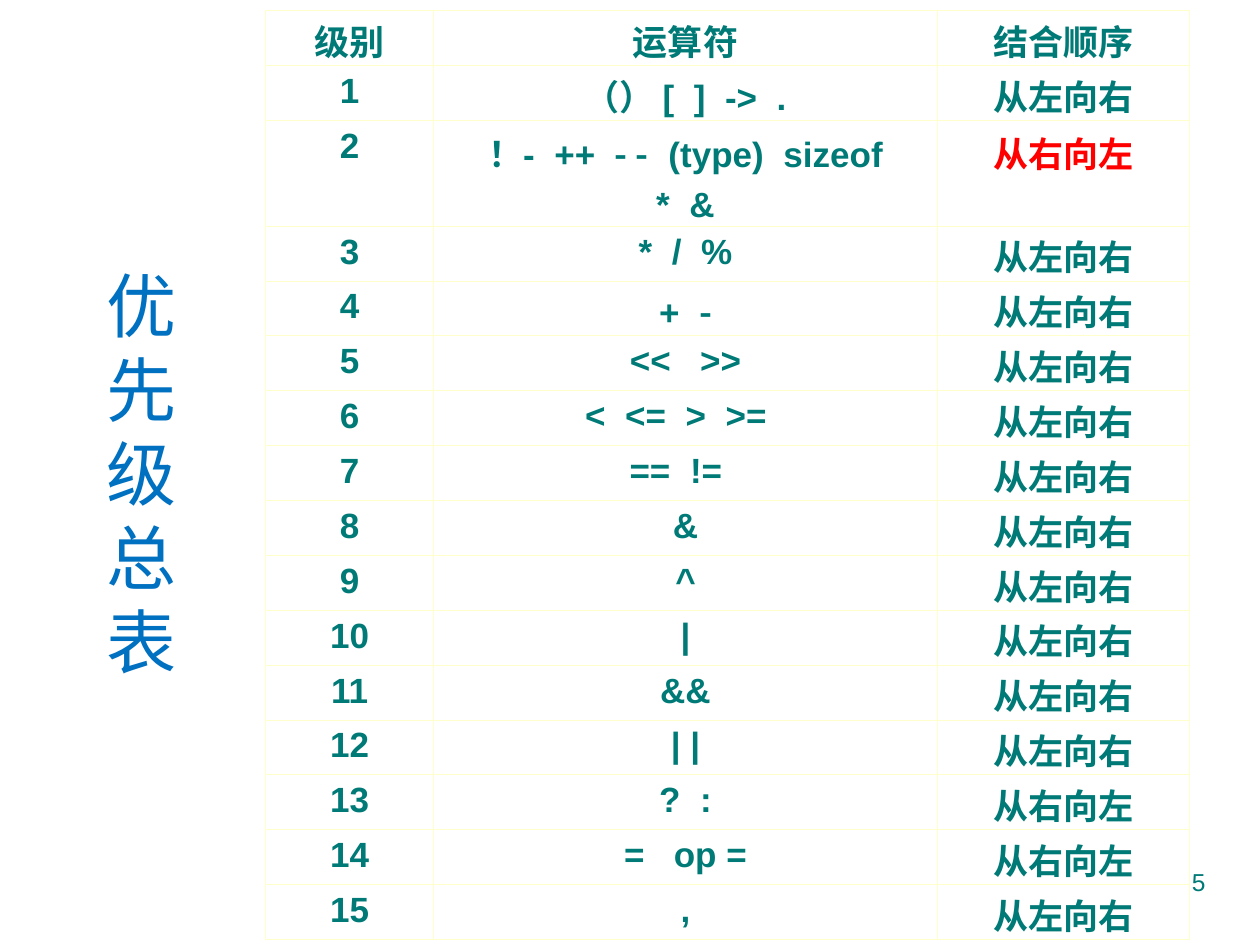
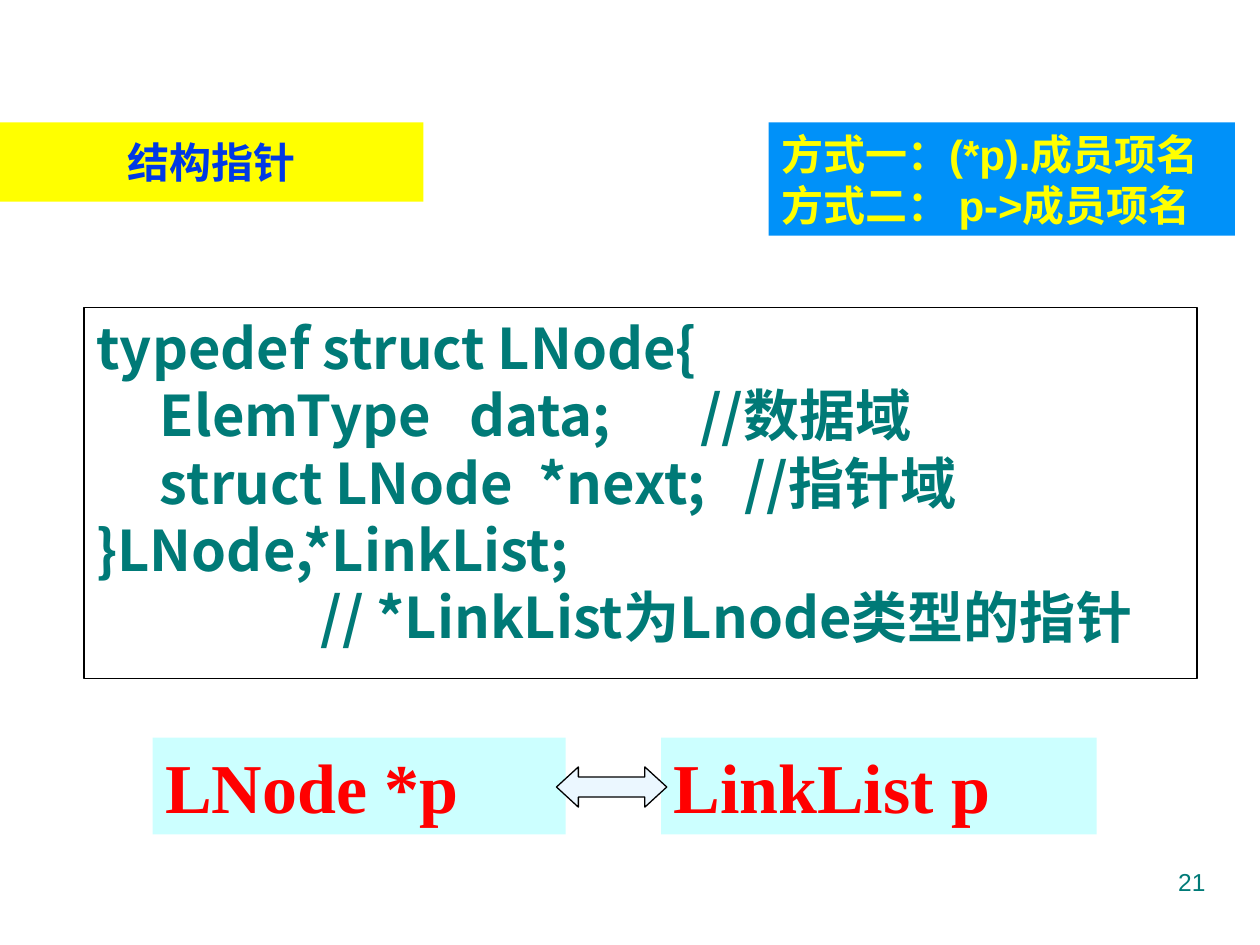
from lxml import etree
from pptx import Presentation
from pptx.dml.color import RGBColor
from pptx.enum import shapes, text
from pptx.oxml import ns
from pptx.util import Pt

TEAL = RGBColor(0x00, 0x7A, 0x77)
TITLE_BLUE = RGBColor(0x00, 0x70, 0xC0)
BAND_BLUE = RGBColor(0x00, 0x91, 0xF9)
HEADING_BLUE = RGBColor(0x00, 0x39, 0xE5)
YELLOW = RGBColor(0xFF, 0xFF, 0x00)
PALE_CYAN = RGBColor(0xCC, 0xFF, 0xFF)
PALE_BLUE = RGBColor(0xEB, 0xF7, 0xFF)
RED = RGBColor(0xFF, 0x00, 0x00)
BLACK = RGBColor(0x00, 0x00, 0x00)
BORDER = "FFFFCC"

SANS, CJK, SERIF = "Arial", "Noto Sans CJK SC", "Times New Roman"
LEFT, CENTER, RIGHT, JUSTIFY = (
    text.PP_ALIGN.LEFT, text.PP_ALIGN.CENTER, text.PP_ALIGN.RIGHT, text.PP_ALIGN.JUSTIFY)
TOP, MIDDLE = text.MSO_ANCHOR.TOP, text.MSO_ANCHOR.MIDDLE


def style(paragraph, size, color, font=SANS, bold=True, align=LEFT):
    paragraph.alignment = align
    paragraph.font.size = Pt(size)
    paragraph.font.name = font
    paragraph.font.bold = bold
    paragraph.font.color.rgb = color


def add_box(slide, place, lines, size, color, font=SANS, bold=True, align=LEFT,
            anchor=TOP, fill=None, line=None, kind=shapes.MSO_SHAPE.RECTANGLE):
    """Add a shape at (left, top, width, height) with one paragraph per line."""
    box = slide.shapes.add_shape(kind, *map(Pt, place))
    box.shadow.inherit = False
    if fill is None:
        box.fill.background()
    else:
        box.fill.solid()
        box.fill.fore_color.rgb = fill
    if line is None:
        box.line.fill.background()
    else:
        box.line.color.rgb = line
        box.line.width = Pt(0.75)
    frame = box.text_frame
    frame.word_wrap = True
    frame.vertical_anchor = anchor
    frame.text = "\n".join(lines)
    for paragraph in frame.paragraphs:
        style(paragraph, size, color, font, bold, align)
    return box


prs = Presentation()
prs.slide_width, prs.slide_height = Pt(720), Pt(540)
blank = prs.slide_layouts[6]
precedence, pointers = (prs.slides.add_slide(blank) for _ in range(2))

for slide, number in ((precedence, "5"), (pointers, "21")):
    add_box(slide, (516, 492, 180, 37.5), [number], 14, TEAL, bold=False, align=RIGHT)

# Slide 1: operator precedence
add_box(precedence, (54, 48, 36, 444), ["优先级总表"], 40, TITLE_BLUE,
        bold=False, align=CENTER, anchor=MIDDLE)

# One entry per level; each holds lines of operators set apart by wide gaps
operators = [
    [["（） [", "]", "->", "."]],
    [["！-", "++", "- -", "(type)", "sizeof"], ["*", "&"]],
    [["*", "/", "%"]],
    [["+", "-"]],
    [["<<", ">>"]],
    [["<", "<=", ">", ">="]],
    [["==", "!="]],
    [["&"]],
    [["^"]],
    [["|"]],
    [["&&"]],
    [["| |"]],
    [["?", ":"]],
    [["=", "op ="]],
    [[","]],
]
right_to_left = {2, 13, 14}
extra_wide = {5, 14}
shifted_left = {6, 7}
rows = [([["级别"]], [["运算符"]], [["结合顺序"]])]
for level, lines in enumerate(operators, 1):
    order = "从右向左" if level in right_to_left else "从左向右"
    rows.append(([[str(level)]], lines, [[order]]))

table = precedence.shapes.add_table(
    len(rows), 3, Pt(151.75), Pt(6), Pt(528), Pt(531)).table
table.first_row = table.horz_banding = False
for column, width in zip(table.columns, (96, 288, 144)):
    column.width = Pt(width)
for r, row in enumerate(rows):
    table.rows[r].height = Pt(60.5 if len(row[1]) > 1 else 31.37)
    for c, lines in enumerate(row):
        cell = table.cell(r, c)
        cell.fill.background()
        # Chinese glyphs have tall lines, which must not stretch a one-line row
        tall = "-" in lines[0] or any(ch > "\u2e80" for ch in "".join(lines[0]))
        cell.margin_top = Pt(2.3 if tall and len(row[1]) == 1 else 3.6)
        cell.margin_bottom = 0
        if c == 1 and r in shifted_left:
            cell.margin_right = Pt(18.3)
        for i, tokens in enumerate(lines):
            frame = cell.text_frame
            paragraph = frame.add_paragraph() if i else frame.paragraphs[0]
            if i:
                paragraph.space_before = Pt(5)
            style(paragraph, 20, RED if (r, c) == (2, 2) else TEAL, align=CENTER)
            for t, token in enumerate(tokens):
                if t:
                    gap = paragraph.add_run()
                    gap.text = " "
                    gap.font._element.set("spc", "1110" if r in extra_wide else "560")
                run = paragraph.add_run()
                run.text = token
                if token in ("-", "- -"):
                    run.font.name = CJK
        properties = cell._tc.get_or_add_tcPr()
        for i, side in enumerate(("a:lnL", "a:lnR", "a:lnT", "a:lnB")):
            edge = etree.Element(ns.qn(side), w=str(Pt(0.45)))
            solid = etree.SubElement(edge, ns.qn("a:solidFill"))
            etree.SubElement(solid, ns.qn("a:srgbClr"), val=BORDER)
            properties.insert(i, edge)

# Slide 2: pointers to structures
add_box(pointers, (439.25, 70, 266.5, 64.75), ["方式一：(*p).成员项名", "方式二： p->成员项名"],
        24, YELLOW, fill=BAND_BLUE)
add_box(pointers, (0, 70, 242, 45.25), ["结构指针"], 24, HEADING_BLUE,
        align=CENTER, anchor=MIDDLE, fill=YELLOW)

code = add_box(pointers, (48, 175.75, 636, 212), [
    "typedef struct LNode{",
    "     ElemType\tdata;\t//数据域",
    "     struct LNode\t*next;\t//指针域",
    "}LNode,*LinkList;",
    "// *LinkList为Lnode类型的指针",
], 32, TEAL, font=CJK, align=JUSTIFY, line=BLACK).text_frame.paragraphs
for paragraph, stops in ((code[1], (213, 345)), (code[2], (252.5, 370.5))):
    tabs = etree.Element(ns.qn("a:tabLst"))
    for stop in stops:
        etree.SubElement(tabs, ns.qn("a:tab"), pos=str(Pt(stop)), algn="l")
    paragraph._p.get_or_add_pPr().insert(0, tabs)
code[4]._p.get_or_add_pPr().set("marL", str(Pt(128)))

for left, width, declaration in ((87.25, 236, "LNode *p"), (377.75, 249, "LinkList p")):
    add_box(pointers, (left, 421.5, width, 55.25), [declaration], 40, RED,
            font=SERIF, fill=PALE_CYAN)
equivalence = add_box(pointers, (318, 438.25, 63, 23), [], 18, BLACK, fill=PALE_BLUE,
                      line=BLACK, kind=shapes.MSO_SHAPE.LEFT_RIGHT_ARROW)
equivalence.adjustments[0] = 0.5
equivalence.adjustments[1] = 0.545

prs.save("out.pptx")
